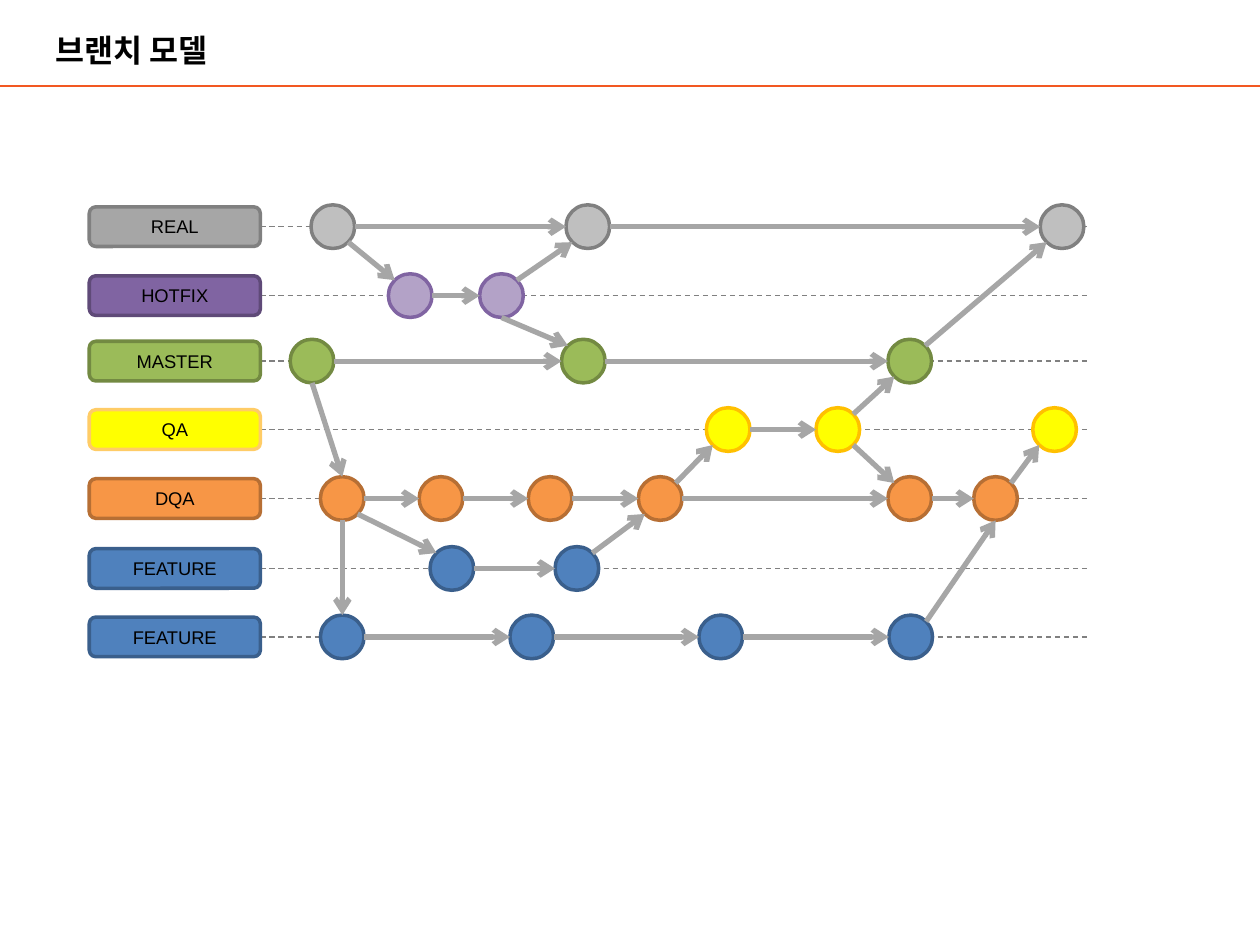
"""Build a slide that shows a branch model as lanes of linked commits."""
from dataclasses import dataclass
from math import sqrt

from lxml import etree
from pptx import Presentation
from pptx.dml.color import RGBColor
from pptx.enum.dml import MSO_LINE
from pptx.enum.shapes import MSO_CONNECTOR, MSO_SHAPE
from pptx.enum.text import MSO_ANCHOR, MSO_AUTO_SIZE, PP_ALIGN
from pptx.oxml.ns import qn
from pptx.util import Cm, Pt

STRAIGHT = MSO_CONNECTOR.STRAIGHT
ROUNDED = MSO_SHAPE.ROUNDED_RECTANGLE
OVAL = MSO_SHAPE.OVAL
DASH = MSO_LINE.DASH
MIDDLE = MSO_ANCHOR.MIDDLE
LEFT, CENTER = PP_ALIGN.LEFT, PP_ALIGN.CENTER
NO_AUTOFIT = MSO_AUTO_SIZE.NONE
TITLE_ONLY = 5


@dataclass(frozen=True)
class Theme:
    font: str = "Arial"
    text: str = "000000"
    rule: str = "F25822"
    guide: str = "808080"
    arrow: str = "A6A6A6"
    title_size: float = 18
    label_size: float = 10.5
    rule_width: float = 1
    guide_width: float = 0.75
    outline_width: float = 2
    arrow_width: float = 3


theme = Theme()
GRAY = ("A6A6A6", "808080", "BFBFBF", "808080")
PURPLE = ("8064A2", "5F4A78", "B3A2C7", "8064A2")
GREEN = ("9BBB59", "738A42", "9BBB59", "738A42")
YELLOW = ("FFFF00", "FFCC66", "FFFF00", "FFC000")
ORANGE = ("F79646", "B76F34", "F79646", "B76F34")
BLUE = ("4F81BD", "3A5F8C", "4F81BD", "3A5F8C")

LANES = [
    ("real", "REAL", 4.57, GRAY, [6.71, 11.85, 21.41]),
    ("hotfix", "HOTFIX", 5.96, PURPLE, [8.27, 10.11]),
    ("master", "MASTER", 7.28, GREEN, [6.29, 11.76, 18.34]),
    ("qa", "QA", 8.66, YELLOW, [14.68, 16.89, 21.26]),
    ("dqa", "DQA", 10.05, ORANGE, [6.9, 8.89, 11.09, 13.31, 18.34, 20.07]),
    ("feature 1", "FEATURE", 11.46, BLUE, [9.11, 11.63]),
    ("feature 2", "FEATURE", 12.84, BLUE, [6.9, 10.72, 14.53, 18.36]),
]
UNLINKED = ("qa", 1)
MERGES = [
    ("real", 0, "bottom right", "hotfix", 0, "top left"),
    ("hotfix", 1, "top right", "real", 1, "bottom left"),
    ("hotfix", 1, "bottom", "master", 1, "top left"),
    ("master", 0, "bottom", "dqa", 0, "top"),
    ("dqa", 0, "bottom", "feature 2", 0, "top"),
    ("dqa", 0, "bottom right", "feature 1", 0, "top left"),
    ("feature 1", 1, "top right", "dqa", 3, "bottom left"),
    ("dqa", 3, "top right", "qa", 0, "bottom left"),
    ("qa", 1, "bottom right", "dqa", 4, "top left"),
    ("qa", 1, "top right", "master", 2, "bottom left"),
    ("master", 2, "top right", "real", 2, "bottom left"),
    ("feature 2", 3, "top right", "dqa", 5, "bottom"),
    ("dqa", 5, "top right", "qa", 2, "bottom left"),
]

LABEL_LEFT, LABEL_WIDTH, LABEL_HEIGHT = 1.8, 3.45, 0.8
GUIDE_END = 21.95
RADIUS = 0.44
DIAGONAL = RADIUS / sqrt(2)
SITES = {
    "top": (0, 0, -RADIUS),
    "top left": (1, -DIAGONAL, -DIAGONAL),
    "left": (2, -RADIUS, 0),
    "bottom left": (3, -DIAGONAL, DIAGONAL),
    "bottom": (4, 0, RADIUS),
    "bottom right": (5, DIAGONAL, DIAGONAL),
    "right": (6, RADIUS, 0),
    "top right": (7, DIAGONAL, -DIAGONAL),
}

presentation = Presentation()
presentation.slide_width, presentation.slide_height = Cm(25.4), Cm(19.05)
slide = presentation.slides.add_slide(presentation.slide_layouts[TITLE_ONLY])


def add_line(start, end, color, width):
    line = slide.shapes.add_connector(STRAIGHT, *(Cm(value) for value in (*start, *end)))
    line.line.color.rgb = RGBColor.from_string(color)
    line.line.width = Pt(width)
    etree.SubElement(line._element.spPr, qn("a:effectLst"))
    return line


def add_block(kind, left, top, width, height, fill, outline):
    block = slide.shapes.add_shape(kind, Cm(left), Cm(top), Cm(width), Cm(height))
    block.shadow.inherit = False
    block.fill.solid()
    block.fill.fore_color.rgb = RGBColor.from_string(fill)
    block.line.color.rgb = RGBColor.from_string(outline)
    block.line.width = Pt(theme.outline_width)
    return block


title = slide.shapes.title
title.left, title.top, title.width, title.height = Cm(0.86), Cm(0.38), Cm(23.65), Cm(1.27)
title.text_frame.text = "브랜치 모델"
title.text_frame.auto_size = NO_AUTOFIT
title.text_frame.vertical_anchor = MIDDLE
paragraph = title.text_frame.paragraphs[0]
paragraph.alignment = LEFT
paragraph.font.name = theme.font
paragraph.font.size = Pt(theme.title_size)
paragraph.font.bold = True
paragraph.font.color.rgb = RGBColor.from_string(theme.text)
add_line((0, 1.73), (25.4, 1.73), theme.rule, theme.rule_width)

commits = {}
links = []
for lane, name, y, colors, centers in LANES:
    label_fill, label_outline, commit_fill, commit_outline = colors
    guide = add_line((LABEL_LEFT + LABEL_WIDTH, y), (GUIDE_END, y), theme.guide, theme.guide_width)
    guide.line.dash_style = DASH
    label = add_block(ROUNDED, LABEL_LEFT, y - LABEL_HEIGHT / 2, LABEL_WIDTH, LABEL_HEIGHT,
                      label_fill, label_outline)
    label.text_frame.text = name
    label.text_frame.vertical_anchor = MIDDLE
    paragraph = label.text_frame.paragraphs[0]
    paragraph.alignment = CENTER
    paragraph.font.name = theme.font
    paragraph.font.size = Pt(theme.label_size)
    paragraph.font.color.rgb = RGBColor.from_string(theme.text)
    for index, x in enumerate(centers):
        commit = add_block(OVAL, x - RADIUS, y - RADIUS, 2 * RADIUS, 2 * RADIUS,
                           commit_fill, commit_outline)
        commits[lane, index] = (commit, x, y)
        if index and (lane, index - 1) != UNLINKED:
            links.append((lane, index - 1, "right", lane, index, "left"))

for from_lane, from_index, from_site, to_lane, to_index, to_site in links + MERGES:
    points, anchors = [], []
    for key, site in (((from_lane, from_index), from_site), ((to_lane, to_index), to_site)):
        commit, x, y = commits[key]
        number, shift_x, shift_y = SITES[site]
        points.append((x + shift_x, y + shift_y))
        anchors.append((commit.shape_id, number))
    arrow = add_line(*points, theme.arrow, theme.arrow_width)
    etree.SubElement(arrow.line._get_or_add_ln(), qn("a:tailEnd"), type="arrow")
    properties = arrow._element.nvCxnSpPr.cNvCxnSpPr
    for tag, (shape_id, number) in zip(("a:stCxn", "a:endCxn"), anchors):
        etree.SubElement(properties, qn(tag), id=str(shape_id), idx=str(number))

presentation.save("out.pptx")
